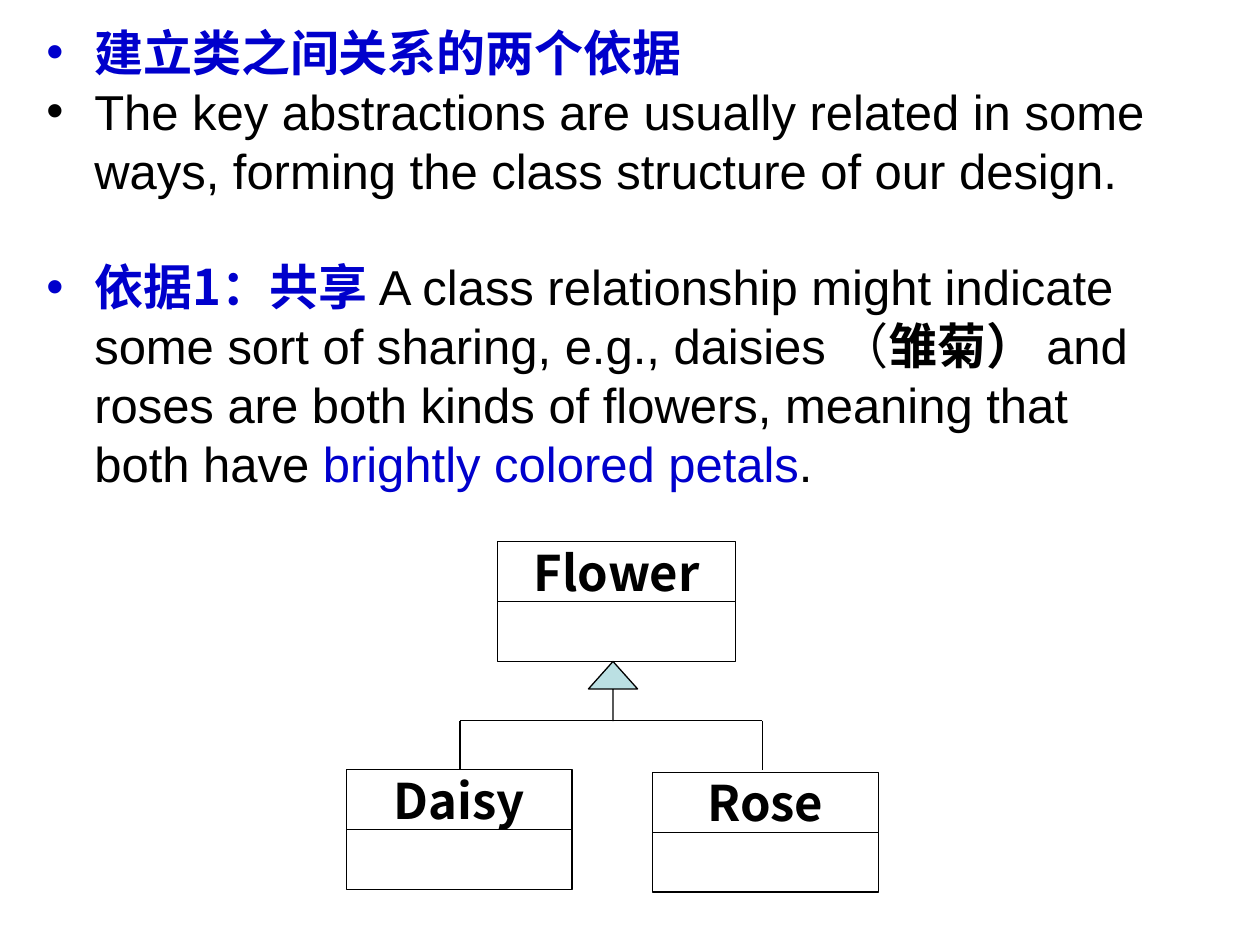
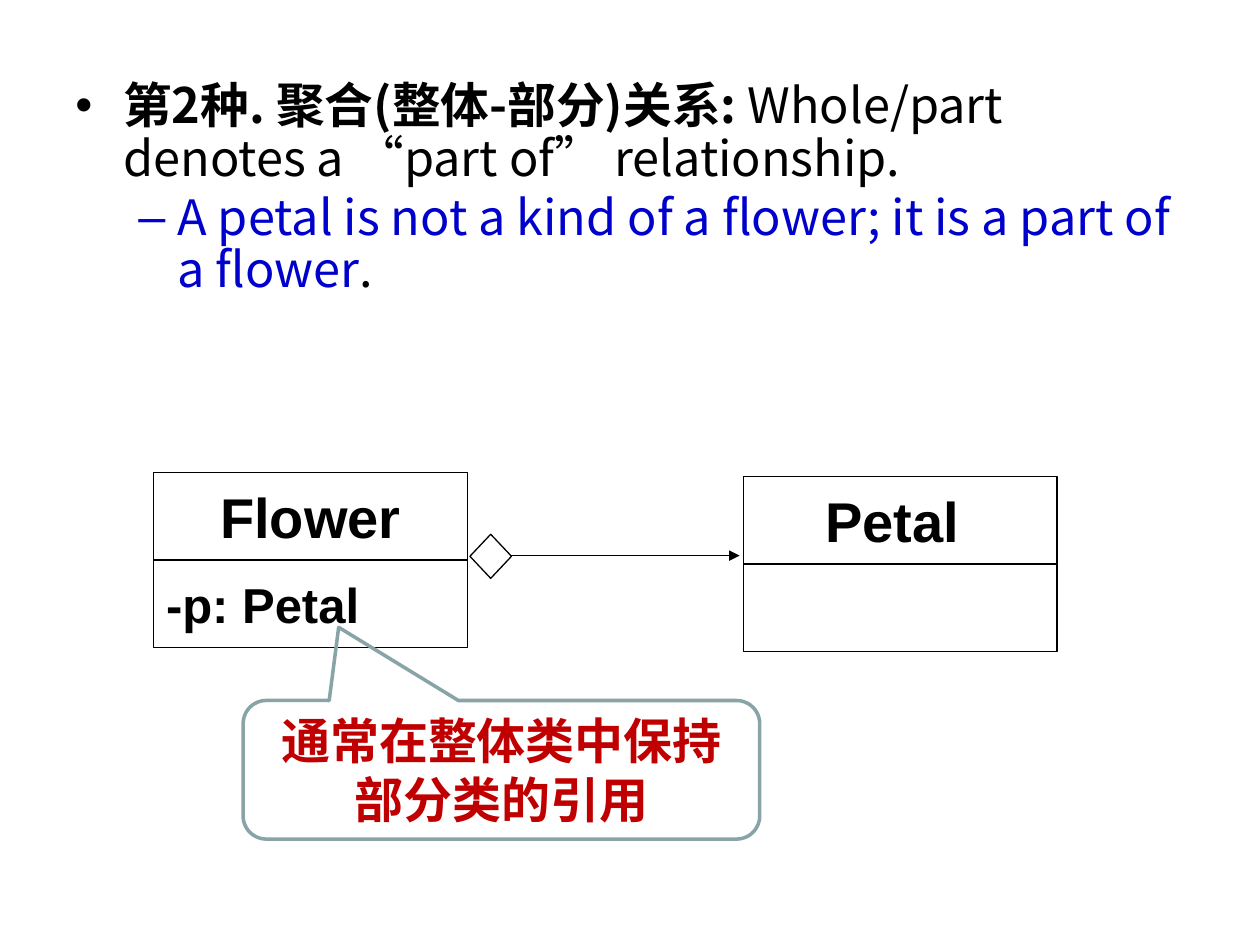
from lxml import etree
from pptx import Presentation
from pptx.dml.color import RGBColor
from pptx.enum.shapes import MSO_CONNECTOR, MSO_SHAPE
from pptx.enum.text import MSO_ANCHOR, PP_ALIGN
from pptx.oxml.ns import qn
from pptx.util import Inches, Pt

BLACK = RGBColor(0x00, 0x00, 0x00)
WHITE = RGBColor(0xFF, 0xFF, 0xFF)
BLUE = RGBColor(0x00, 0x00, 0xCC)
RED = RGBColor(0xC0, 0x00, 0x00)
PALE_TEAL = RGBColor(0xBB, 0xE0, 0xE3)
GREY_TEAL = RGBColor(0x89, 0xA4, 0xA7)
ARIAL = "Arial"
NOTO = "Noto Sans CJK SC"
UNIT = Inches(0.1)  # the slide is a grid of 100 columns by 75 rows


def add_run(p, text, size, font=NOTO, color=BLACK, bold=False):
    r = p.add_run()
    r.text = text
    r.font.size = Pt(size)
    r.font.name = font
    r.font.bold = bold
    r.font.color.rgb = color
    r.font.language_id = None
    ea = etree.Element(qn("a:ea"), typeface=NOTO)
    r._r.rPr.find(qn("a:latin")).addnext(ea)


def add_outlined(s, kind, x, y, w, h, fill=WHITE, line=BLACK, width=0.75):
    sp = s.shapes.add_shape(kind, *(round(v * UNIT) for v in (x, y, w, h)))
    sp.shadow.inherit = False
    if fill is None:
        sp.fill.background()
    else:
        sp.fill.solid()
        sp.fill.fore_color.rgb = fill
    sp.line.color.rgb = line
    sp.line.width = Pt(width)
    sp.text_frame.vertical_anchor = MSO_ANCHOR.MIDDLE
    sp.text_frame.word_wrap = False
    return sp


prs = Presentation()
prs.slide_width, prs.slide_height = 100 * UNIT, 75 * UNIT
sharing, aggregation = (prs.slides.add_slide(prs.slide_layouts[6]) for _ in range(2))

# Body text: slide, frame, size, line spacing, then paragraphs of
# (bullet, left margin, hanging, space before, runs)
bodies = [
    (sharing, (2.7, 1.3, 91.5, 38.6), 28, 1.0, [
        ("•", 0.38, 0.38, 0, [("建立类之间关系的两个依据", NOTO, BLUE, True)]),
        ("•", 0.38, 0.38, 0, [
            ("The key abstractions are usually related in some ways, "
             "forming the class structure of our design.", ARIAL, BLACK, False)]),
        ("•", 0.38, 0.38, 33, [
            ("依据1：共享 ", NOTO, BLUE, True),
            ("A class relationship might indicate some sort of sharing, "
             "e.g., daisies （", ARIAL, BLACK, False),
            ("雏菊） ", ARIAL, BLACK, True),
            ("and roses are both kinds of flowers, meaning that both have ",
             ARIAL, BLACK, False),
            ("brightly colored petals", ARIAL, BLUE, False),
            (".", ARIAL, BLACK, False)]),
    ]),
    (aggregation, (5, 6, 90, 22.8), 27.8, 0.9, [
        ("•", 0.38, 0.38, 0, [
            ("第2种. 聚合(整体-部分)关系:", NOTO, BLACK, True),
            (" Whole/part denotes a “part of” relationship.", NOTO, BLACK, False)]),
        ("–", 0.81, 0.31, 3.7, [
            ("A petal is not a kind of a flower; it is a part of a flower",
             NOTO, BLUE, False),
            (".", NOTO, BLACK, False)]),
    ]),
]
for s, frame, size, spacing, paragraphs in bodies:
    tf = s.shapes.add_textbox(*(round(v * UNIT) for v in frame)).text_frame
    tf.word_wrap = True
    for i, (bullet, margin, hanging, before, runs) in enumerate(paragraphs):
        p = tf.paragraphs[0] if i == 0 else tf.add_paragraph()
        pPr = p._p.get_or_add_pPr()
        pPr.set("marL", str(Inches(margin)))
        pPr.set("indent", str(-Inches(hanging)))
        bu_color = etree.SubElement(pPr, qn("a:buClr"))
        etree.SubElement(bu_color, qn("a:srgbClr"), val=str(runs[0][2]))
        etree.SubElement(pPr, qn("a:buFont"), typeface=ARIAL)
        etree.SubElement(pPr, qn("a:buChar"), char=bullet)
        p.line_spacing = spacing
        if before:
            p.space_before = Pt(before)
        for text, font, color, bold in runs:
            add_run(p, text, size, font, color, bold)

# Relationship lines: slide, from, to, arrowhead
lines = [
    (sharing, (36.5, 57.2), (60.5, 57.2), False),
    (sharing, (36.5, 57.2), (36.5, 61.1), False),
    (sharing, (60.5, 57.2), (60.5, 61.1), False),
    (aggregation, (40.1, 44.1), (58.7, 44.1), True),
]
for s, start, end, arrow in lines:
    line = s.shapes.add_connector(
        MSO_CONNECTOR.STRAIGHT, *(round(v * UNIT) for v in start + end))
    line.line.color.rgb = BLACK
    line.line.width = Pt(0.75)
    if arrow:
        etree.SubElement(line.line._get_or_add_ln(), qn("a:tailEnd"), type="triangle")
    etree.SubElement(line._element.spPr, qn("a:effectLst"))

# Class boxes: slide, left, top, width, row height, font, name size, name, attribute
classes = [
    (sharing, 27.5, 61.1, 17.9, 4.75, NOTO, 28, "Daisy", ""),
    (sharing, 39.5, 43, 18.9, 4.75, NOTO, 28, "Flower", ""),
    (sharing, 51.8, 61.3, 17.9, 4.75, NOTO, 28, "Rose", ""),
    (aggregation, 12.2, 37.5, 24.9, 6.95, ARIAL, 32, "Flower", "-p: Petal"),
    (aggregation, 59, 37.8, 24.9, 6.95, ARIAL, 32, "Petal ", ""),
]
for s, x, y, w, h, font, size, name, attribute in classes:
    cells = [(name, size, PP_ALIGN.CENTER), (attribute, 28, PP_ALIGN.LEFT)]
    for row, (text, text_size, align) in enumerate(cells):
        sp = add_outlined(s, MSO_SHAPE.RECTANGLE, x, y + row * h, w, h)
        if text:
            p = sp.text_frame.paragraphs[0]
            p.alignment = align
            add_run(p, text, text_size, font, bold=True)

# Inheritance arrow, aggregation diamond and callout
arrow = add_outlined(sharing, MSO_SHAPE.UP_ARROW, 46.7, 52.5, 3.9, 4.7, PALE_TEAL)
arrow.adjustments[0], arrow.adjustments[1] = 0, 0.56

add_outlined(aggregation, MSO_SHAPE.DIAMOND, 37.3, 42.4, 3.3, 3.5)

callout = add_outlined(aggregation, MSO_SHAPE.ROUNDED_RECTANGULAR_CALLOUT,
                       19.3, 55.6, 41, 11, None, GREY_TEAL, 2)
for i, value in enumerate((-0.315, -1.028, 0.167)):
    callout.adjustments[i] = value
callout.text_frame.word_wrap = True
p = callout.text_frame.paragraphs[0]
p.alignment = PP_ALIGN.CENTER
add_run(p, "通常在整体类中保持部分类的引用", 28, color=RED, bold=True)

prs.save("out.pptx")
